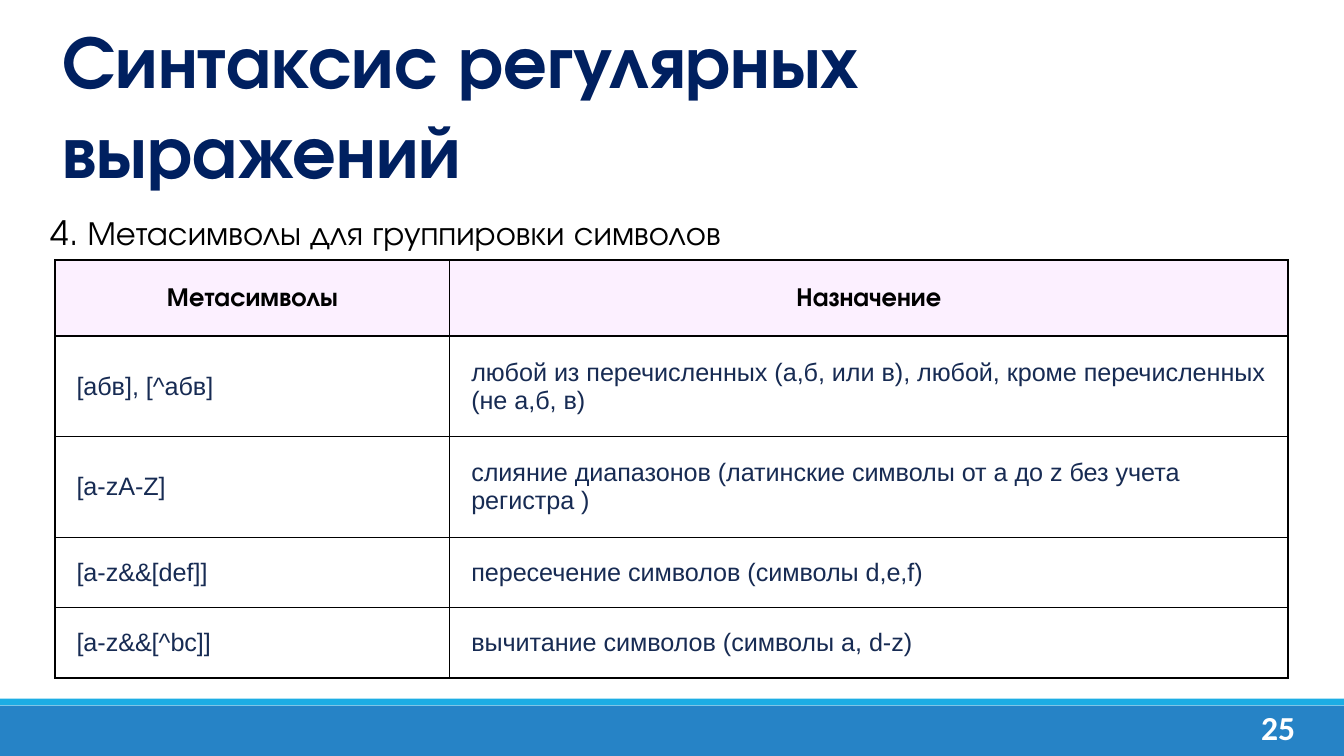
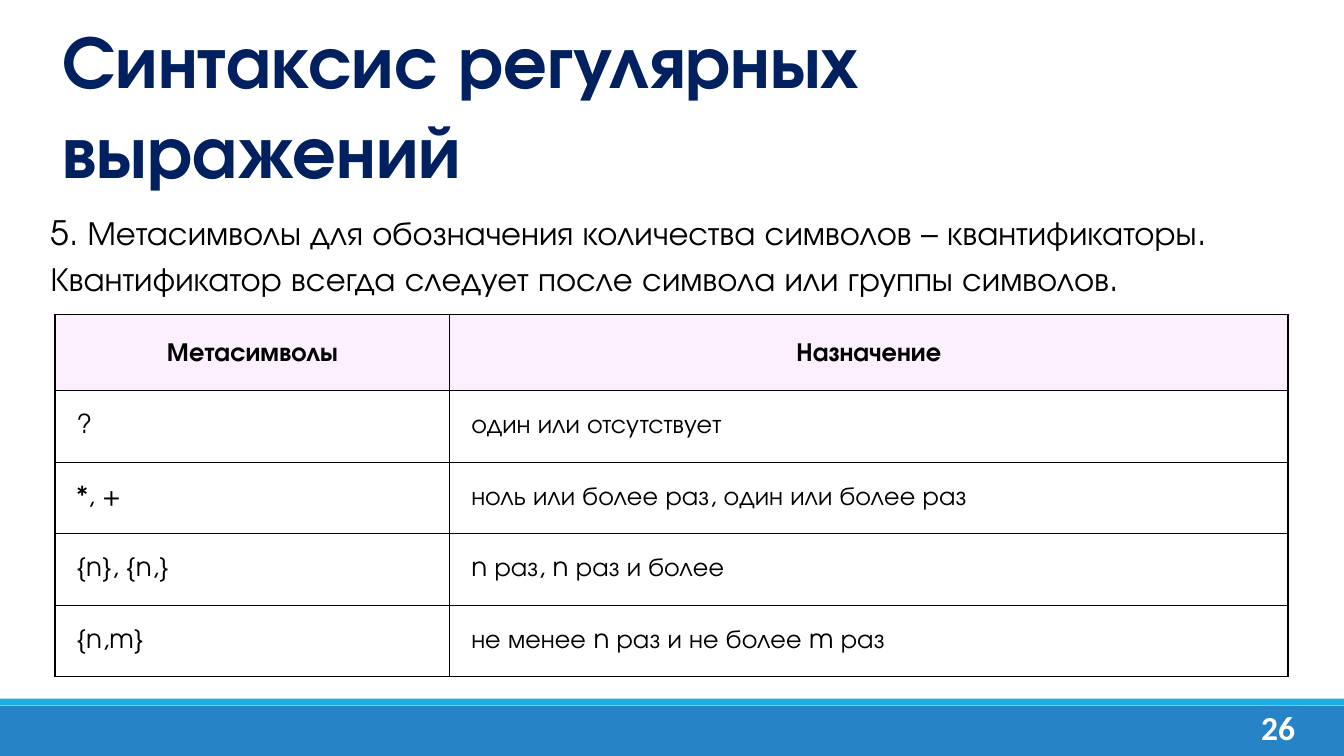
"""Builds two slides on regular expression syntax, each with a table of metacharacters."""
from lxml import etree
from pptx import Presentation
from pptx.dml.color import RGBColor
from pptx.enum.shapes import MSO_SHAPE
from pptx.enum.text import MSO_ANCHOR, PP_ALIGN
from pptx.oxml.ns import qn
from pptx.util import Pt

RECTANGLE = MSO_SHAPE.RECTANGLE
MIDDLE, TOP = MSO_ANCHOR.MIDDLE, MSO_ANCHOR.TOP
LEFT, CENTER = PP_ALIGN.LEFT, PP_ALIGN.CENTER

HEADING = "Синтаксис регулярных выражений"
COLUMNS = ("Метасимволы", "Назначение")
BLACK, WHITE = "000000", "FFFFFF"
BANDS = [((0, 378, 720, 27), "2683C6"), ((0, 374.25, 720, 3.75), "1CADE4")]

DISPLAY_FONT = "TeX Gyre Adventor"
TITLE = dict(name=DISPLAY_FONT, size=40, bold=True, color="002060")
TOPIC = dict(name=DISPLAY_FONT, size=18, bold=False, color=BLACK)
NUMBER = dict(name="Calibri", size=18, bold=True, color=WHITE)
HEADER = dict(name=DISPLAY_FONT, size=14, bold=True, color=BLACK)
ARIAL_BODY = dict(name="Arial", size=13.5, bold=False, color="172B53")
DISPLAY_BODY = dict(HEADER, bold=False)

HEADER_FILL = "FCF0FF"
TABLE_LEFT = 29.5
COLUMN_WIDTHS = (211.5, 449)
HEADER_HEIGHT, ROW_HEIGHT = 38.25, 36.75
CELL_MARGINS = (11.5, 10.75, 11.5, 10.75)

SLIDES = [
    dict(
        number=25,
        topic="4. Метасимволы для группировки символов",
        topic_height=36,
        table_top=139.25,
        body=ARIAL_BODY,
        rows=[
            ("[абв], [^абв]",
             "любой из перечисленных (а,б, или в), любой, кроме перечисленных (не а,б, в)"),
            ("[a-zA-Z]",
             "слияние диапазонов (латинские символы от a до z без учета регистра )"),
            ("[a-z&&[def]]", "пересечение символов (символы d,e,f)"),
            ("[a-z&&[^bc]]", "вычитание символов (символы a, d-z)"),
        ],
    ),
    dict(
        number=26,
        topic="5. Метасимволы для обозначения количества символов – квантификаторы. "
              "Квантификатор всегда следует после символа или группы символов.",
        topic_height=61,
        table_top=168.5,
        body=DISPLAY_BODY,
        rows=[
            ("?", "один или отсутствует"),
            ("*, +", "ноль или более раз, один или более раз"),
            ("{n}, {n,}", "n раз, n раз и более"),
            ("{n,m}", "не менее n раз и не более m раз"),
        ],
    ),
]


def paint(fill, color):
    fill.solid()
    fill.fore_color.rgb = RGBColor.from_string(color)


def set_margins(holder, margins):
    for side, margin in zip(("left", "top", "right", "bottom"), margins):
        setattr(holder, f"margin_{side}", Pt(margin))


def write(frame, words, style, align=LEFT, **spacing):
    paragraph = frame.paragraphs[0]
    for attribute, value in dict(spacing, alignment=align).items():
        setattr(paragraph, attribute, value)
    run = paragraph.add_run()
    run.text = words
    for attribute, value in style.items():
        if attribute == "color":
            run.font.color.rgb = RGBColor.from_string(value)
        else:
            setattr(run.font, attribute, Pt(value) if attribute == "size" else value)


def add_band(slide, box, color):
    band = slide.shapes.add_shape(RECTANGLE, *map(Pt, box))
    band.shadow.inherit = False
    paint(band.fill, color)
    band.line.fill.background()


def add_text(slide, box, words, style, anchor=TOP, inset=3.6, **layout):
    frame = slide.shapes.add_textbox(*map(Pt, box)).text_frame
    frame.word_wrap = True
    frame.vertical_anchor = anchor
    set_margins(frame, (7.2, inset, 7.2, inset))
    write(frame, words, style, **layout)


def add_borders(cell, color, width):
    properties = cell._tc.get_or_add_tcPr()
    for position, edge in enumerate(("a:lnL", "a:lnR", "a:lnT", "a:lnB")):
        border = etree.Element(qn(edge), w=str(Pt(width)))
        solid = etree.SubElement(border, qn("a:solidFill"))
        etree.SubElement(solid, qn("a:srgbClr"), val=color)
        properties.insert(position, border)


def add_table(slide, top, rows, body):
    heights = [HEADER_HEIGHT] + [ROW_HEIGHT] * len(rows)
    box = (TABLE_LEFT, top, sum(COLUMN_WIDTHS), sum(heights))
    table = slide.shapes.add_table(len(heights), len(COLUMNS), *map(Pt, box)).table
    for column, width in zip(table.columns, COLUMN_WIDTHS):
        column.width = Pt(width)
    for row_index, (height, row) in enumerate(zip(heights, [COLUMNS] + rows)):
        table.rows[row_index].height = Pt(height)
        for column_index, words in enumerate(row):
            cell = table.cell(row_index, column_index)
            cell.vertical_anchor = MIDDLE
            set_margins(cell, CELL_MARGINS)
            if row_index == 0:
                paint(cell.fill, HEADER_FILL)
                write(cell.text_frame, words, HEADER, CENTER, line_spacing=1.15)
            else:
                paint(cell.fill, WHITE)
                write(cell.text_frame, words, body)
            add_borders(cell, BLACK, 0.75)


def add_syntax_slide(deck, content):
    slide = deck.slides.add_slide(deck.slide_layouts[6])
    paint(slide.background.fill, WHITE)
    for box, color in BANDS:
        add_band(slide, box, color)
    add_text(slide, (20, 103, 670, content["topic_height"]), content["topic"], TOPIC,
             inset=7.2, line_spacing=1.15, space_before=Pt(10))
    add_text(slide, (667.5, 375, 34.5, 21.5), str(content["number"]), NUMBER, align=CENTER)
    add_text(slide, (26.5, 8, 648, 95), HEADING, TITLE, anchor=MIDDLE)
    add_table(slide, content["table_top"], content["rows"], content["body"])


def main():
    deck = Presentation()
    deck.slide_width, deck.slide_height = Pt(720), Pt(405)
    for content in SLIDES:
        add_syntax_slide(deck, content)
    deck.save("out.pptx")


if __name__ == "__main__":
    main()
